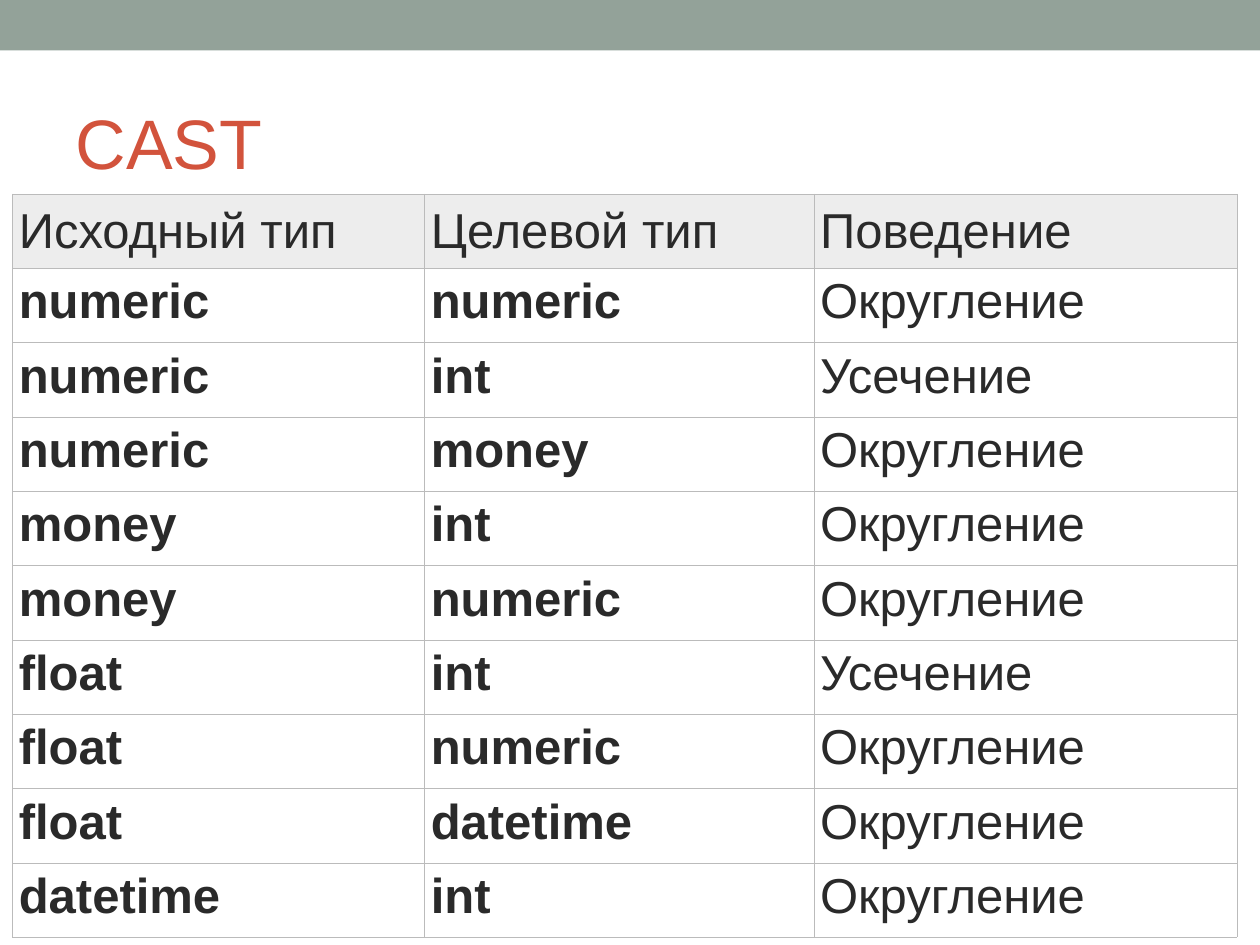
from dataclasses import dataclass

from lxml import etree
from pptx import Presentation
from pptx.dml.color import RGBColor
from pptx.enum.shapes import MSO_SHAPE
from pptx.enum.text import MSO_ANCHOR, PP_ALIGN
from pptx.oxml.ns import qn
from pptx.util import Inches, Pt

RECTANGLE = MSO_SHAPE.RECTANGLE
TOP, MIDDLE = MSO_ANCHOR.TOP, MSO_ANCHOR.MIDDLE
LEFT = PP_ALIGN.LEFT
TITLE_ONLY = 5

HEADERS = ["Исходный тип", "Целевой тип", "Поведение"]
CONVERSIONS = [
    ["numeric", "numeric", "Округление"],
    ["numeric", "int", "Усечение"],
    ["numeric", "money", "Округление"],
    ["money", "int", "Округление"],
    ["money", "numeric", "Округление"],
    ["float", "int", "Усечение"],
    ["float", "numeric", "Округление"],
    ["float", "datetime", "Округление"],
    ["datetime", "int", "Округление"],
]
COLUMN_WIDTHS = [3.27, 3.09, 3.36]
ROW_HEIGHT = 0.59


@dataclass(frozen=True)
class Theme:
    font: str = "Arial"
    title_size: int = 40
    table_size: int = 28
    title: str = "D2533C"
    text: str = "2A2A2A"
    band: str = "93A299"
    header_fill: str = "EDEDED"
    border: str = "BBBBBB"
    border_width: float = 0.34
    cell_margin: float = 0.05


def write_text(text_frame, text, *, font, size, color, bold=False):
    paragraph = text_frame.paragraphs[0]
    paragraph.alignment = LEFT
    run = paragraph.add_run()
    run.text = text
    run.font.name = font
    run.font.size = Pt(size)
    run.font.bold = bold
    run.font.color.rgb = RGBColor.from_string(color)


def add_borders(cell, color, width):
    """Draw all four cell edges; call before filling, as the schema wants lines first."""
    properties = cell._tc.get_or_add_tcPr()
    for edge in ("a:lnL", "a:lnR", "a:lnT", "a:lnB"):
        line = etree.SubElement(properties, qn(edge), w=str(Pt(width)))
        fill = etree.SubElement(line, qn("a:solidFill"))
        etree.SubElement(fill, qn("a:srgbClr"), val=color)


class SlideBuilder:
    """Holds the theme and the slide being filled."""

    def __init__(self, slide, theme):
        self.slide = slide
        self.theme = theme

    def band(self, left, top, width, height):
        shape = self.slide.shapes.add_shape(
            RECTANGLE, Inches(left), Inches(top), Inches(width), Inches(height))
        shape.shadow.inherit = False
        shape.fill.solid()
        shape.fill.fore_color.rgb = RGBColor.from_string(self.theme.band)
        shape.line.fill.background()

    def title(self, text, left, top, width, height):
        title = self.slide.shapes.title
        title.left, title.top = Inches(left), Inches(top)
        title.width, title.height = Inches(width), Inches(height)
        title.text_frame.vertical_anchor = MIDDLE
        write_text(title.text_frame, text, font=self.theme.font,
                   size=self.theme.title_size, color=self.theme.title)

    def table(self, headers, rows, left, top, column_widths, row_height):
        contents = [headers, *rows]
        table = self.slide.shapes.add_table(
            len(contents), len(headers), Inches(left), Inches(top),
            Inches(sum(column_widths)), Inches(row_height * len(contents))).table
        table.horz_banding = False
        for column, width in zip(table.columns, column_widths):
            column.width = Inches(width)
        for row_index, texts in enumerate(contents):
            table.rows[row_index].height = Inches(row_height)
            for column_index, text in enumerate(texts):
                is_header = row_index == 0
                is_type_name = not is_header and column_index < 2
                self.cell(table.cell(row_index, column_index), text,
                          is_header, is_type_name)

    def cell(self, cell, text, is_header, bold):
        theme = self.theme
        margin = Inches(theme.cell_margin)
        cell.margin_left = cell.margin_right = margin
        cell.margin_top = cell.margin_bottom = margin
        cell.vertical_anchor = MIDDLE if is_header else TOP
        add_borders(cell, theme.border, theme.border_width)
        if is_header:
            cell.fill.solid()
            cell.fill.fore_color.rgb = RGBColor.from_string(theme.header_fill)
        else:
            cell.fill.background()
        write_text(cell.text_frame, text, font=theme.font,
                   size=theme.table_size, color=theme.text, bold=bold)


def main():
    presentation = Presentation()
    presentation.slide_width = Inches(10)
    presentation.slide_height = Inches(7.5)
    slide = presentation.slides.add_slide(presentation.slide_layouts[TITLE_ONLY])

    builder = SlideBuilder(slide, Theme())
    builder.band(0, 0, 10, 0.4)
    builder.title("CAST", 0.5, 0.58, 9, 1.08)
    builder.table(HEADERS, CONVERSIONS, 0.1, 1.54, COLUMN_WIDTHS, ROW_HEIGHT)
    presentation.save("out.pptx")


if __name__ == "__main__":
    main()
